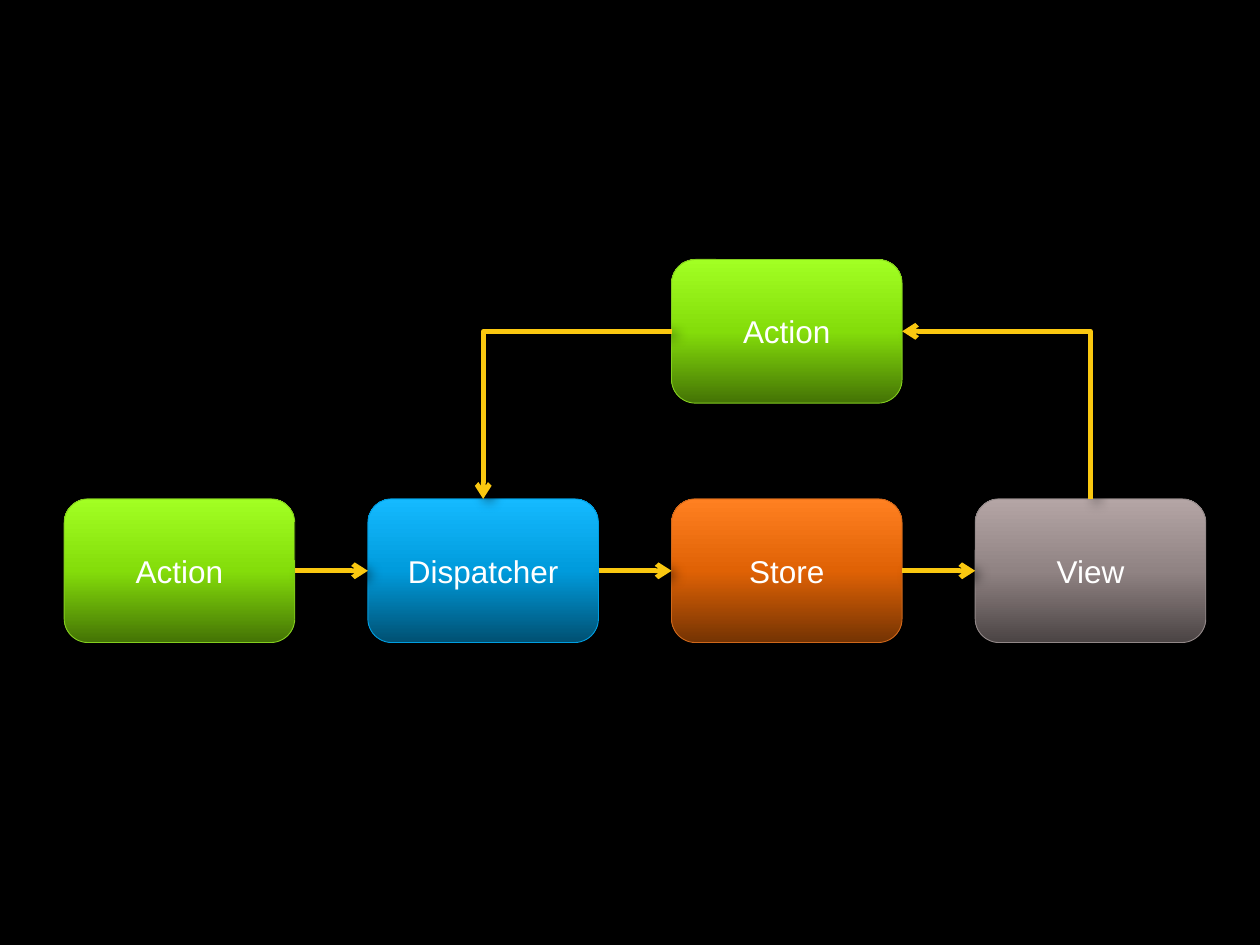
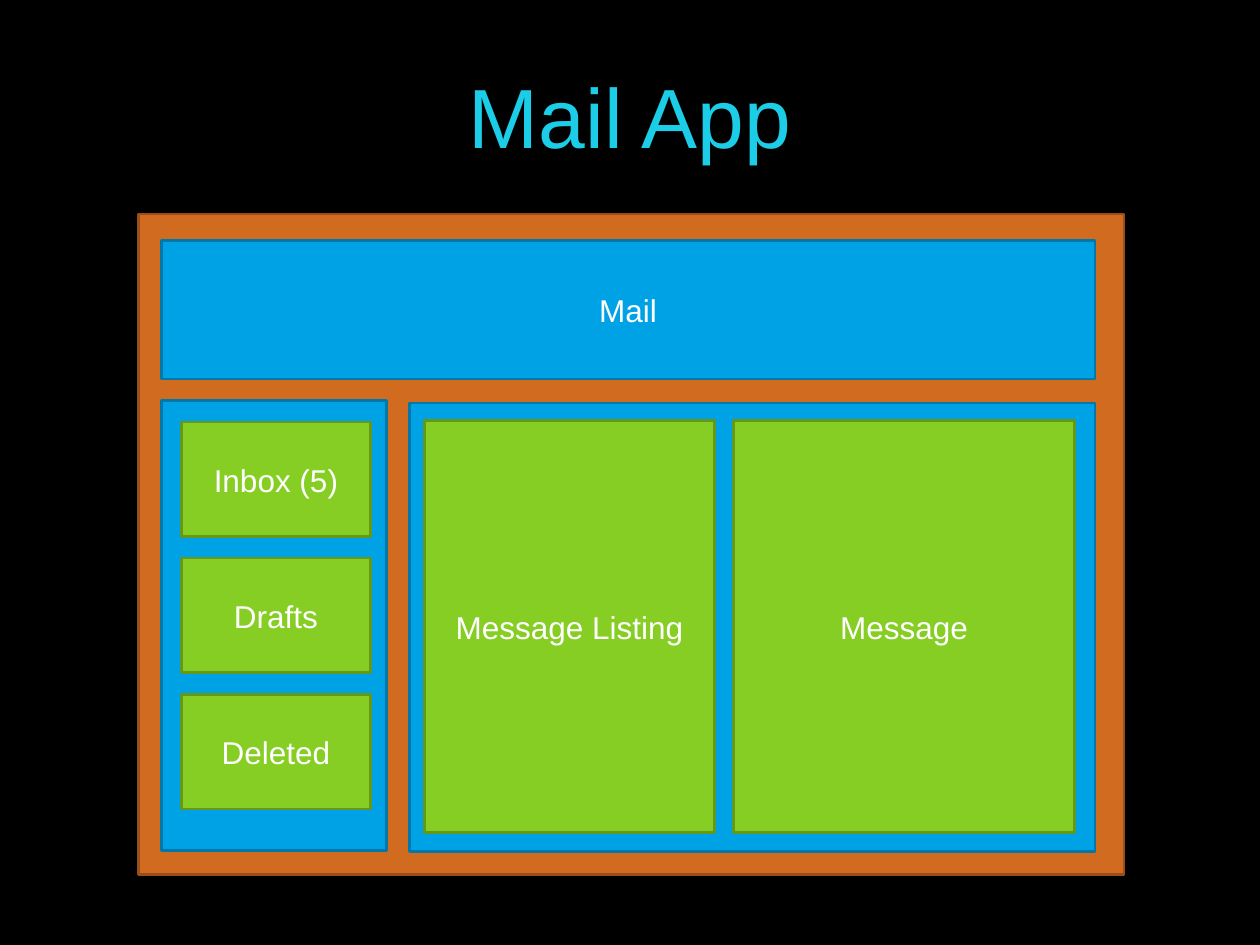
import copy

import lxml.etree
import pptx
import pptx.dml.color
import pptx.enum.shapes
import pptx.enum.text
import pptx.oxml
import pptx.oxml.ns
import pptx.util

# Shared grid: 100 columns by 75 rows of square cells
CELL = pptx.util.Inches(0.1)
COLUMNS, ROWS = 100, 75

FONT = "Arial"
BACKGROUND, WHITE, TITLE, ARROW = "000000", "FFFFFF", "1CCDE7", "FAC810"
TOP, LEFT, BOTTOM, RIGHT = range(4)

# Gradient from bottom to top, then the outline
GREEN = (("447305", "84DD0A", "A2FF23"), "84CE1F")
BLUE = (("005072", "009BDC", "15BAFF"), "009EE1")
ORANGE = (("743303", "E06205", "FF8021"), "D0681B")
GREY = (("4B4444", "908383", "B4A5A5"), "928888")

# Plain fill, then the outline
WINDOW = ("D06B20", "9A4F18")
PANE = ("00A2E6", "0078AA")
ITEM = ("86CE24", "63981B")

# Flow chart: box size, spacing and rows, in cells
BOX_WIDTH, BOX_HEIGHT = 18.3, 11.4
FIRST_COLUMN, COLUMN_STEP = 5.1, 24.1
UPPER_ROW, LOWER_ROW = 20.6, 39.6


def cells(count):
    return round(count * CELL)


def color(value):
    return pptx.dml.color.RGBColor.from_string(value)


def set_font(paragraph, size, font_color):
    paragraph.alignment = pptx.enum.text.PP_ALIGN.CENTER
    paragraph.font.name = FONT
    paragraph.font.size = pptx.util.Pt(size)
    paragraph.font.color.rgb = color(font_color)


def set_line(line, line_color, width):
    line.color.rgb = color(line_color)
    line.width = pptx.util.Pt(width)


def add_shadow(shape):
    properties = shape._element.spPr
    for effects in properties.findall(pptx.oxml.ns.qn("a:effectLst")):
        properties.remove(effects)
    properties.append(pptx.oxml.parse_xml(
        f'<a:effectLst {pptx.oxml.ns.nsdecls("a")}>'
        f'<a:outerShdw blurRad="{pptx.util.Pt(7)}" dist="{pptx.util.Pt(4)}" '
        'dir="2100000" rotWithShape="0"><a:srgbClr val="000000">'
        '<a:alpha val="55000"/></a:srgbClr></a:outerShdw></a:effectLst>'))


def set_gradient(fill, shape, stop_colors):
    fill.gradient()
    fill.gradient_angle = 90
    stop_list = next(shape._element.spPr.iter(pptx.oxml.ns.qn("a:gsLst")))
    stop_list.append(copy.deepcopy(stop_list[-1]))
    for index, stop in enumerate(fill.gradient_stops):
        stop.position = index / 2
        stop.color.rgb = color(stop_colors[index])


def add_block(slide, kind, column, row, width, height, text):
    shape = slide.shapes.add_shape(
        kind, cells(column), cells(row), cells(width), cells(height))
    shape.shadow.inherit = False
    if text:
        paragraph = shape.text_frame.paragraphs[0]
        paragraph.text = text
        set_font(paragraph, 18, WHITE)
    return shape


def add_stage(slide, text, position, row, style):
    """Glossy rounded box of the flow chart."""
    stop_colors, outline = style
    stage = add_block(slide, pptx.enum.shapes.MSO_SHAPE.ROUNDED_RECTANGLE,
                      FIRST_COLUMN + position * COLUMN_STEP, row,
                      BOX_WIDTH, BOX_HEIGHT, text)
    set_gradient(stage.fill, stage, stop_colors)
    set_line(stage.line, outline, 0.5)
    add_shadow(stage)
    return stage


def add_panel(slide, style, column, row, width, height, text=""):
    """Flat rectangle of the app layout."""
    fill_color, outline = style
    panel = add_block(slide, pptx.enum.shapes.MSO_SHAPE.RECTANGLE,
                      column, row, width, height, text)
    panel.fill.solid()
    panel.fill.fore_color.rgb = color(fill_color)
    set_line(panel.line, outline, 1.5)


def add_arrow(slide, start, start_side, end, end_side, bent=False):
    kinds = pptx.enum.shapes.MSO_CONNECTOR
    arrow = slide.shapes.add_connector(
        kinds.ELBOW if bent else kinds.STRAIGHT, 0, 0, 0, 0)
    arrow.begin_connect(start, start_side)
    arrow.end_connect(end, end_side)
    if bent:
        arrow._element.spPr.prstGeom.set("prst", "bentConnector2")
    set_line(arrow.line, ARROW, 2.75)
    line = arrow._element.spPr.find(pptx.oxml.ns.qn("a:ln"))
    lxml.etree.SubElement(line, pptx.oxml.ns.qn("a:tailEnd"), type="arrow")
    add_shadow(arrow)
    return arrow


def turn_upward(arrow):
    """Make a one-bend arrow leave upwards and then run left."""
    left, top, width, height = arrow.left, arrow.top, arrow.width, arrow.height
    arrow.left = left + (width - height) // 2
    arrow.top = top + (height - width) // 2
    arrow.width, arrow.height = height, width
    transform = arrow._element.spPr.xfrm
    transform.attrib.pop("flipH", None)
    transform.set("flipV", "1")
    transform.set("rot", str(270 * 60000))


def add_flow_slide(presentation):
    slide = presentation.slides.add_slide(presentation.slide_layouts[6])

    # Boxes
    action = add_stage(slide, "Action", 0, LOWER_ROW, GREEN)
    new_action = add_stage(slide, "Action", 2, UPPER_ROW, GREEN)
    store = add_stage(slide, "Store", 2, LOWER_ROW, ORANGE)
    dispatcher = add_stage(slide, "Dispatcher", 1, LOWER_ROW, BLUE)
    view = add_stage(slide, "View", 3, LOWER_ROW, GREY)

    # Forward flow, then the loop back through a new action
    chain = [action, dispatcher, store, view]
    for start, end in zip(chain, chain[1:]):
        add_arrow(slide, start, RIGHT, end, LEFT)
    turn_upward(add_arrow(slide, view, TOP, new_action, RIGHT, bent=True))
    add_arrow(slide, new_action, LEFT, dispatcher, TOP, bent=True)


def add_mail_slide(presentation):
    slide = presentation.slides.add_slide(presentation.slide_layouts[5])

    # Title
    title = slide.shapes.title
    title.left, title.top = cells(7.5), cells(1.3)
    title.width, title.height = cells(85), cells(15.6)
    title.text_frame.vertical_anchor = pptx.enum.text.MSO_ANCHOR.MIDDLE
    title.text_frame.text = "Mail App"
    set_font(title.text_frame.paragraphs[0], 48, TITLE)

    # Window and its panes
    add_panel(slide, WINDOW, 11, 17, 78.2, 52.4)
    add_panel(slide, PANE, 12.8, 19.1, 74.1, 11, "Mail")
    add_panel(slide, PANE, 12.8, 31.8, 17.9, 35.7)
    add_panel(slide, PANE, 32.5, 32, 54.4, 35.6)

    # Folders
    for index, folder in enumerate(["Inbox (5)", "Drafts", "Deleted"]):
        add_panel(slide, ITEM, 14.4, 33.5 + index * 10.8, 15, 9.1, folder)

    # Message area
    add_panel(slide, ITEM, 58.2, 33.4, 27.1, 32.7, "Message")
    add_panel(slide, ITEM, 33.7, 33.4, 23, 32.7, "Message Listing")


def main():
    presentation = pptx.Presentation()
    presentation.slide_width = cells(COLUMNS)
    presentation.slide_height = cells(ROWS)
    background = presentation.slide_master.background.fill
    background.solid()
    background.fore_color.rgb = color(BACKGROUND)
    add_flow_slide(presentation)
    add_mail_slide(presentation)
    presentation.save("out.pptx")


if __name__ == "__main__":
    main()
